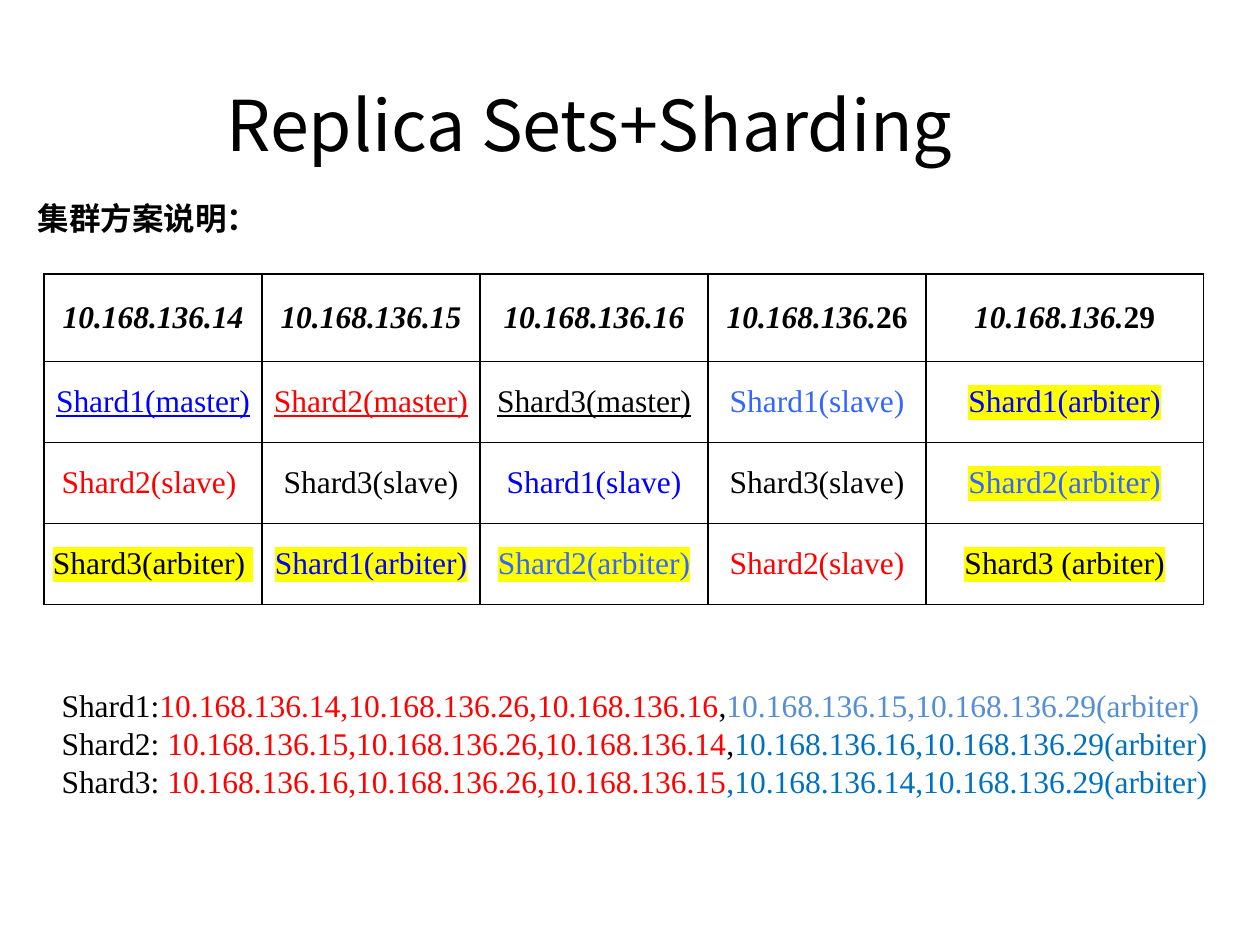
from dataclasses import dataclass

from lxml.etree import SubElement
from pptx import Presentation
from pptx.dml.color import RGBColor
from pptx.enum.text import MSO_ANCHOR, PP_ALIGN
from pptx.oxml.ns import qn
from pptx.util import Inches, Pt

WIDTH, HEIGHT = 10, 7.5


@dataclass(frozen=True)
class Theme:
    """Colours, fonts and type sizes of the slide."""
    black: str = "000000"
    blue: str = "0000FF"
    sky: str = "3366FF"
    red: str = "FF0000"
    pale: str = "558ED5"
    ocean: str = "0070C0"
    marker: str = "FFFF00"
    sans: str = "Noto Sans CJK SC"
    serif: str = "Times New Roman"
    title_size: int = 40
    body_size: int = 18
    border: int = 1


@dataclass(frozen=True)
class Box:
    """A region given as shares of the slide's width and height."""
    left: float
    top: float
    width: float
    height: float

    def lengths(self):
        """Return left, top, width and height as lengths."""
        return (Inches(WIDTH * self.left), Inches(HEIGHT * self.top),
                Inches(WIDTH * self.width), Inches(HEIGHT * self.height))


THEME = Theme()
COLUMN_SHARES = (1.73, 1.73, 1.81, 1.73, 2.2)
ROW_SHARES = (0.69, 0.64, 0.64, 0.64)
HOSTS = (("10.168.136.14", ""), ("10.168.136.15", ""), ("10.168.136.16", ""),
         ("10.168.136.", "26"), ("10.168.136.", "29"))
ROLES = (
    (("Shard1(master)", THEME.blue), ("Shard2(master)", THEME.red),
     ("Shard3(master)", THEME.black), ("Shard1(slave)", THEME.sky),
     ("Shard1(arbiter)", THEME.blue)),
    (("Shard2(slave) ", THEME.red), ("Shard3(slave)", THEME.black),
     ("Shard1(slave)", THEME.blue), ("Shard3(slave)", THEME.black),
     ("Shard2(arbiter)", THEME.sky)),
    (("Shard3(arbiter) ", THEME.black), ("Shard1(arbiter)", THEME.blue),
     ("Shard2(arbiter)", THEME.sky), ("Shard2(slave)", THEME.red),
     ("Shard3 (arbiter)", THEME.black)),
)
FIRST_MEMBERS = (
    (("Shard1:", THEME.black),
     ("10.168.136.14,10.168.136.26,10.168.136.16", THEME.red),
     (",", THEME.black),
     ("10.168.136.15,10.168.136.29(arbiter)", THEME.pale)),
)
OTHER_MEMBERS = (
    (("Shard2: ", THEME.black),
     ("10.168.136.15,10.168.136.26,10.168.136.14", THEME.red),
     (",", THEME.black),
     ("10.168.136.16,10.168.136.29(arbiter)", THEME.ocean)),
    (("Shard3: ", THEME.black),
     ("10.168.136.16,10.168.136.26,10.168.136.15", THEME.red),
     (",10.168.136.14,10.168.136.29(arbiter)", THEME.ocean)),
)


def add_text(paragraph, text, font=THEME.serif, size=THEME.body_size,
             color=THEME.black, bold=False, italic=False, underline=False,
             highlight=None):
    """Append one formatted run to a paragraph."""
    run = paragraph.add_run()
    run.text = text
    run.font.size = Pt(size)
    run.font.bold, run.font.italic = bold, italic
    run.font.underline = underline
    run.font.color.rgb = RGBColor.from_string(color)
    properties = run.font._element
    if highlight:
        marker = SubElement(properties, qn("a:highlight"))
        SubElement(marker, qn("a:srgbClr"), val=highlight)
    run.font.name = font
    SubElement(properties, qn("a:ea"), typeface=font)


def add_frame(slide, box, wrap=True):
    """Add an empty text box and return its text frame."""
    frame = slide.shapes.add_textbox(*box.lengths()).text_frame
    frame.word_wrap = wrap
    return frame


def add_heading(slide, box, text, wrap=True, **format_options):
    """Place a single line of sans text in the box."""
    frame = add_frame(slide, box, wrap)
    add_text(frame.paragraphs[0], text, font=THEME.sans, **format_options)


def add_members(slide, box, lines, line_spacing=1.0):
    """Place justified lines that list the members of each shard."""
    frame = add_frame(slide, box)
    for index, line in enumerate(lines):
        paragraph = frame.add_paragraph() if index else frame.paragraphs[0]
        paragraph.alignment = PP_ALIGN.JUSTIFY
        paragraph.line_spacing = line_spacing
        for text, color in line:
            add_text(paragraph, text, color=color)


def style_cell(cell):
    """Give a cell its margins, borders and empty fill; return its paragraph."""
    cell.margin_left = cell.margin_right = Inches(0.07)
    cell.margin_top = cell.margin_bottom = 0
    cell.vertical_anchor = MSO_ANCHOR.MIDDLE
    properties = cell._tc.get_or_add_tcPr()
    for side in ("lnL", "lnR", "lnT", "lnB"):
        line = SubElement(properties, qn(f"a:{side}"), w=str(Pt(THEME.border)))
        fill = SubElement(line, qn("a:solidFill"))
        SubElement(fill, qn("a:srgbClr"), val=THEME.black)
    cell.fill.background()
    paragraph = cell.text_frame.paragraphs[0]
    paragraph.alignment = PP_ALIGN.CENTER
    return paragraph


def add_cluster_table(slide, box):
    """Fill the box with the table of hosts and shard roles."""
    left, top, width, height = box.lengths()
    table = slide.shapes.add_table(len(ROW_SHARES), len(COLUMN_SHARES),
                                   left, top, width, height).table
    table.first_row = table.horz_banding = False
    for column, share in zip(table.columns, COLUMN_SHARES):
        column.width = int(width * share / sum(COLUMN_SHARES))
    for row, share in zip(table.rows, ROW_SHARES):
        row.height = int(height * share / sum(ROW_SHARES))
    for column, (slanted, upright) in enumerate(HOSTS):
        paragraph = style_cell(table.cell(0, column))
        add_text(paragraph, slanted, bold=True, italic=True)
        if upright:
            add_text(paragraph, upright, bold=True)
    for row, roles in enumerate(ROLES, start=1):
        for column, (text, color) in enumerate(roles):
            add_text(style_cell(table.cell(row, column)), text, color=color,
                     underline="master" in text,
                     highlight=THEME.marker if "arbiter" in text else None)


def main():
    """Build the slide and save it."""
    presentation = Presentation()
    presentation.slide_width = Inches(WIDTH)
    presentation.slide_height = Inches(HEIGHT)
    slide = presentation.slides.add_slide(presentation.slide_layouts[6])
    add_cluster_table(slide, Box(0.035, 0.29, 0.92, 0.35))
    add_heading(slide, Box(0.17, 0.08, 0.68, 0.1), "Replica Sets+Sharding",
                size=THEME.title_size)
    add_heading(slide, Box(0.02, 0.204, 0.2, 0.05), "集群方案说明：",
                wrap=False, bold=True)
    add_members(slide, Box(0.039, 0.679, 0.94, 0.09), FIRST_MEMBERS,
                line_spacing=2.0)
    add_members(slide, Box(0.039, 0.76, 0.94, 0.09), OTHER_MEMBERS)
    presentation.save("out.pptx")


if __name__ == "__main__":
    main()
